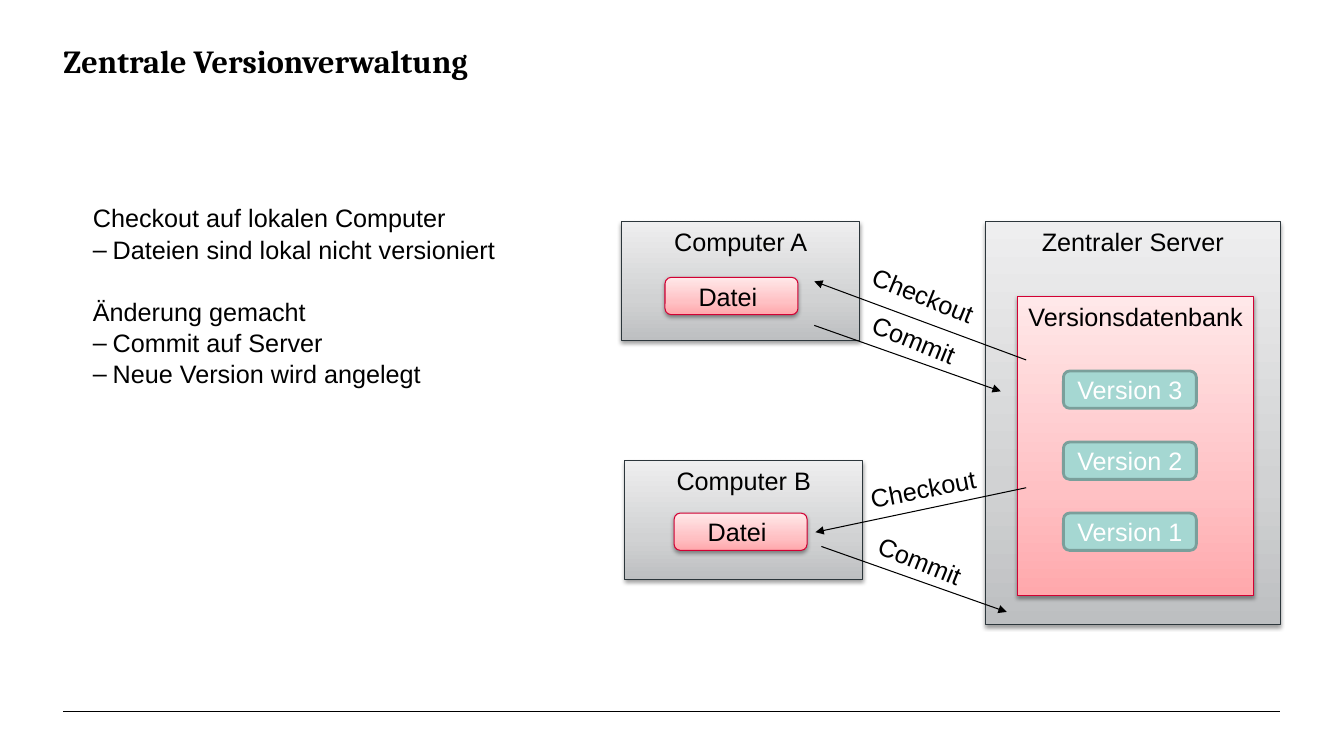
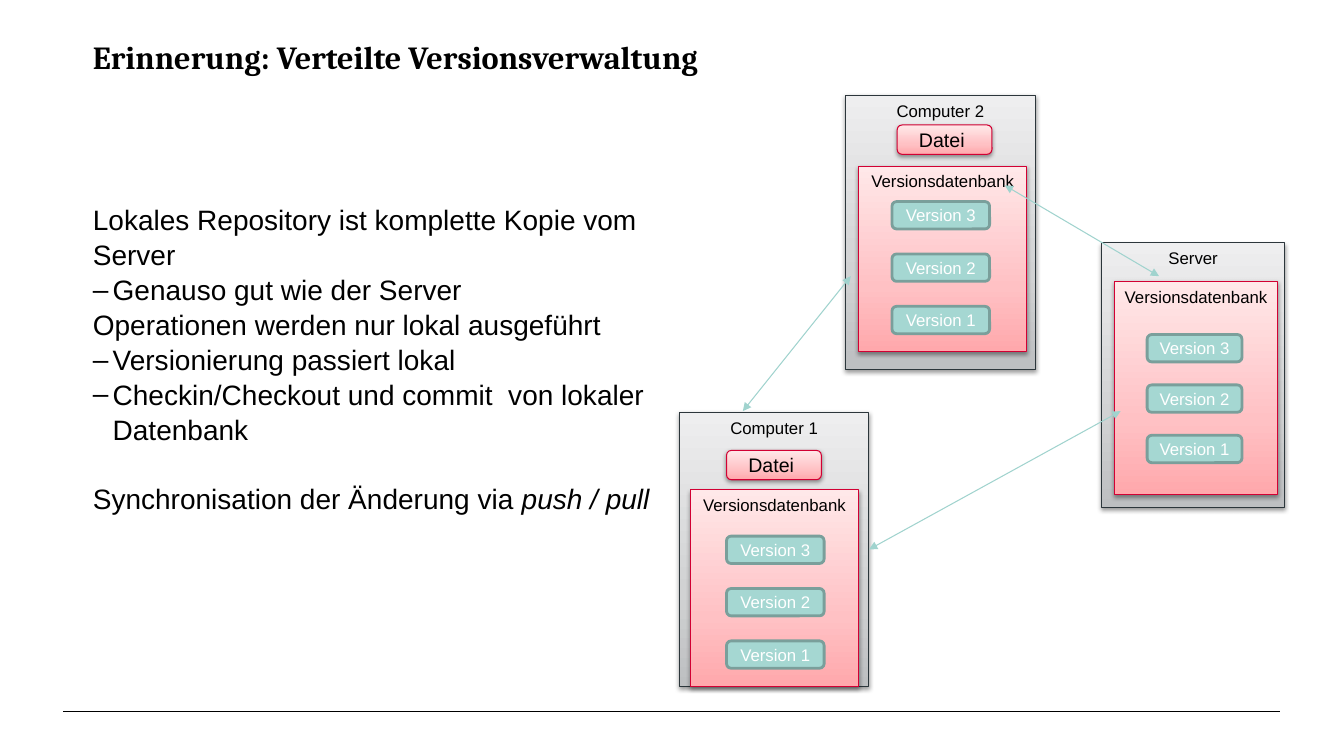
from pptx import Presentation
from pptx.dml.color import RGBColor
from pptx.enum.shapes import MSO_CONNECTOR as CONNECTOR, MSO_SHAPE as SHAPE
from pptx.enum.text import MSO_ANCHOR as ANCHOR, MSO_AUTO_SIZE as AUTO_SIZE, PP_ALIGN as ALIGN
from pptx.oxml import parse_xml
from pptx.oxml.ns import nsdecls, qn
from pptx.util import Cm, Pt

BLACK = RGBColor(0x00, 0x00, 0x00)
WHITE = RGBColor(0xFF, 0xFF, 0xFF)
TEAL = RGBColor(0xA5, 0xD7, 0xD2)
TEAL_EDGE = RGBColor(0x7A, 0x9F, 0x9B)
TEAL_LINE = RGBColor(0xA0, 0xD3, 0xCE)
GREY_EDGE = RGBColor(0x2C, 0x36, 0x3B)
RED_EDGE = RGBColor(0xD2, 0x00, 0x33)
GREY = ("BDBFC1", "D1D2D3", "EEEEEF")
PINK = ("FFA8AC", "FFC1C4", "FFE8E9")
GRADIENT_STOPS = (0, 35, 100)

BODY_FONT, TITLE_FONT = "Arial", "Cambria"
TITLE_BOX = (1.6, 1.12, 30.66, 2.11)
BODY_BOX = (2.34, 5.08, 14.4, 12.09)
FOOTER_LINE = ((1.6, 17.93), (32.26, 17.93))
VERSIONS = ("Version 3", "Version 2", "Version 1")

# Boxes are left, top, width, height in cm; "versions" is the topmost one.
# Body text is a list of blocks, each holding (level, text, emphasised ending).
CENTRAL = {
    "title": "Zentrale Versionverwaltung",
    "title_box": TITLE_BOX,
    "body_size": 18,
    "body": [
        [(0, "Checkout auf lokalen Computer", ""),
         (1, "Dateien sind lokal nicht versioniert", "")],
        [(0, "Änderung gemacht", ""),
         (1, "Commit auf Server", ""),
         (1, "Neue Version wird angelegt", "")],
    ],
    "label_size": 18,
    "file_size": 18,
    "machines": [
        {"name": "Zentraler Server", "box": (24.84, 5.59, 7.42, 10.16),
         "database": (25.65, 7.47, 5.94, 7.54),
         "versions": (26.8, 9.35, 3.35, 0.94), "pitch": 1.79},
        {"name": "Computer A", "box": (15.67, 5.59, 5.99, 3),
         "file": (16.76, 6.99, 3.35, 0.94)},
        {"name": "Computer B", "box": (15.75, 11.61, 5.99, 3),
         "file": (16.99, 12.93, 3.35, 0.94)},
    ],
}
TRANSFERS = [  # text, label corner, rotation, arrow start, arrow end
    ("Checkout", (21.67, 6.96), 22, (25.86, 9.07), (20.52, 7.09)),
    ("Checkout", (21.67, 11.79), 348.9, (25.86, 12.29), (20.55, 13.41)),
    ("Commit", (21.67, 8.18), 22, (20.52, 8.2), (25.22, 9.86)),
    ("Commit", (21.82, 13.74), 22, (20.7, 13.77), (25.37, 15.42)),
]
DISTRIBUTED = {
    "title": "Erinnerung: Verteilte Versionsverwaltung",
    "title_box": (2.34, 1.02, 28.12, 3.68),
    "body_size": 20,
    "body": [
        [(0, "Lokales Repository ist komplette Kopie vom Server", ""),
         (1, "Genauso gut wie der Server", ""),
         (0, "Operationen werden nur lokal ausgeführt", ""),
         (1, "Versionierung passiert lokal", ""),
         (1, "Checkin/Checkout und commit  von lokaler Datenbank", "")],
        [(0, "Synchronisation der Änderung via ", "push / pull")],
    ],
    "label_size": 12,
    "file_size": 14,
    "machines": [
        {"name": "Server", "box": (27.76, 6.12, 4.62, 6.68),
         "database": (28.09, 7.09, 4.11, 5.38),
         "versions": (28.91, 8.43, 2.39, 0.69), "pitch": 1.27},
        {"name": "Computer 1", "box": (17.12, 10.39, 4.78, 6.91),
         "database": (17.4, 12.34, 4.24, 4.95),
         "versions": (18.31, 13.51, 2.46, 0.69), "pitch": 1.32,
         "file": (18.31, 11.35, 2.39, 0.74)},
        {"name": "Computer 2", "box": (21.31, 2.41, 4.78, 6.91),
         "database": (21.64, 4.19, 4.24, 4.67),
         "versions": (22.48, 5.08, 2.46, 0.69), "pitch": 1.32,
         "file": (22.61, 3.15, 2.39, 0.74)},
    ],
}
SYNCS = [  # start, end, machine whose right side the end is joined to
    ((29.21, 6.96), (25.32, 4.67), None),
    ((28.24, 10.36), (21.9, 13.84), "Computer 1"),
    ((18.72, 10.36), (21.44, 6.96), None),
]


def cm(values):
    return [Cm(v) for v in values]


def place(shape, box):
    shape.left, shape.top, shape.width, shape.height = cm(box)


def write(p, text, size=None, color=None, font=None, italic=None, align=None):
    r = p.add_run()
    r.text = text
    r.font.name, r.font.italic = font, italic
    if size:
        r.font.size = Pt(size)
    if color is not None:
        r.font.color.rgb = color
    if align is not None:
        p.alignment = align


def set_level_style(master, style, level, bullet, spacing, font, indent=0, size=18, bold=0):
    """Replace one level of a master text style."""
    parent = master.element.find(".//" + qn(f"p:{style}"))
    old = parent.find(qn(f"a:lvl{level}pPr"))
    parent.replace(old, parse_xml(
        f'<a:lvl{level}pPr {nsdecls("a")} marL="{indent}" indent="{-indent}" algn="l">'
        f'<a:lnSpc>{spacing}</a:lnSpc><a:spcBef><a:spcPts val="0"/></a:spcBef>{bullet}'
        f'<a:defRPr sz="{size * 100}" b="{bold}"><a:solidFill><a:srgbClr val="{BLACK}"/>'
        f'</a:solidFill><a:latin typeface="{font}"/></a:defRPr></a:lvl{level}pPr>'))


def style_master(prs):
    master, layout = prs.slide_master, prs.slide_layouts[1]
    no_bullet, dash = "<a:buNone/>", f'<a:buFont typeface="{BODY_FONT}"/><a:buChar char="–"/>'
    body_spacing = '<a:spcPct val="104000"/>'
    set_level_style(master, "titleStyle", 1, no_bullet, '<a:spcPts val="2500"/>',
                    TITLE_FONT, size=23, bold=1)
    set_level_style(master, "bodyStyle", 1, no_bullet, body_spacing, BODY_FONT)
    set_level_style(master, "bodyStyle", 2, dash, body_spacing, BODY_FONT, indent=Cm(0.5))
    place(layout.placeholders[0], TITLE_BOX)
    place(layout.placeholders[1], BODY_BOX)
    return layout


def add_line(shapes, start, end, color=BLACK, width=0.75, heads=()):
    line = shapes.add_connector(CONNECTOR.STRAIGHT, *cm(start + end))
    line.line.color.rgb, line.line.width = color, Pt(width)
    ln = line.line._get_or_add_ln()
    for head in heads:
        ln.append(parse_xml(f'<a:{head} {nsdecls("a")} type="triangle"/>'))
    line.element.spPr.append(parse_xml(f'<a:effectLst {nsdecls("a")}/>'))
    return line


def add_footer_line(prs, s):
    """Draw the line once and move it to the master, so all slides show it."""
    line = add_line(s.shapes, *FOOTER_LINE, width=0.25)
    line.element.nvCxnSpPr.cNvPr.set("id", "20")
    prs.slide_master.shapes.element.append(line.element)


def add_box(shapes, box, text, size, edge, fill, kind=SHAPE.RECTANGLE,
            anchor=ANCHOR.TOP, color=BLACK, edge_width=0.75):
    """Add a labelled box; a fill of three colours gives a gradient and a shadow."""
    sp = shapes.add_shape(kind, *cm(box))
    sp.shadow.inherit = False
    sp.line.color.rgb, sp.line.width = edge, Pt(edge_width)
    if isinstance(fill, RGBColor):
        sp.fill.solid()
        sp.fill.fore_color.rgb = fill
    else:
        sp.fill.gradient()
        sp.fill.gradient_angle = 90
        stops = sp.element.spPr.find(".//" + qn("a:gsLst"))
        stops.clear()
        for position, rgb in zip(GRADIENT_STOPS, fill):
            stops.append(parse_xml(f'<a:gs {nsdecls("a")} pos="{position * 1000}">'
                                   f'<a:srgbClr val="{rgb}"/></a:gs>'))
        sp.element.spPr.find(qn("a:effectLst")).append(parse_xml(
            f'<a:outerShdw {nsdecls("a")} blurRad="{Pt(3.1)}" dist="{Pt(1.6)}" dir="5400000" '
            f'rotWithShape="0"><a:srgbClr val="{BLACK}"><a:alpha val="38000"/></a:srgbClr>'
            '</a:outerShdw>'))
    tf = sp.text_frame
    tf.margin_left = tf.margin_right = 0
    tf.vertical_anchor = anchor
    write(tf.paragraphs[0], text, size, color, BODY_FONT, align=ALIGN.CENTER)
    return sp


def add_machine(s, machine, label_size, file_size):
    shapes = s.shapes.add_group_shape().shapes
    frame = add_box(shapes, machine["box"], machine["name"], label_size, GREY_EDGE, GREY)
    rounded = {"kind": SHAPE.ROUNDED_RECTANGLE, "anchor": ANCHOR.MIDDLE}
    if "database" in machine:
        add_box(shapes, machine["database"], "Versionsdatenbank", label_size, RED_EDGE, PINK)
        left, top, width, height = machine["versions"]
        for i, version in enumerate(VERSIONS):
            add_box(shapes, (left, top + i * machine["pitch"], width, height), version,
                    label_size, TEAL_EDGE, TEAL, color=WHITE, edge_width=2, **rounded)
    if "file" in machine:
        add_box(shapes, machine["file"], "Datei ", file_size, RED_EDGE, PINK, **rounded)
    return frame


def fill_placeholders(s, content):
    title, body = s.shapes.title, s.placeholders[1]
    if content["title_box"] != TITLE_BOX:
        place(title, content["title_box"])
    for tf in (title.text_frame, body.text_frame):
        tf.margin_left = tf.margin_top = tf.margin_right = tf.margin_bottom = 0
        tf.vertical_anchor = ANCHOR.TOP
        tf.auto_size = AUTO_SIZE.NONE
        tf.word_wrap = True
    write(title.text_frame.paragraphs[0], content["title"])
    size, tf = content["body_size"], body.text_frame
    p = tf.paragraphs[0]
    for b, block in enumerate(content["body"]):
        for i, (level, text, emphasis) in enumerate(block):
            if b or i:
                p = tf.add_paragraph()
            p.level = level
            if b and not i:
                p.space_before = Pt(1.2 * size)
            write(p, text, size)
            if emphasis:
                write(p, emphasis, size, italic=True)


def add_slide(prs, layout, content):
    """Return the new slide and its machine frames by name."""
    s = prs.slides.add_slide(layout)
    fill_placeholders(s, content)
    frames = {m["name"]: add_machine(s, m, content["label_size"], content["file_size"])
              for m in content["machines"]}
    return s, frames


def add_transfer(s, text, corner, rotation, start, end):
    add_line(s.shapes, start, end, heads=("tailEnd",))
    label = s.shapes.add_textbox(*cm(corner + (3.35, 1.02)))
    label.rotation = rotation
    label.text_frame.word_wrap = True
    write(label.text_frame.paragraphs[0], text, 18, BLACK, BODY_FONT)


def main():
    prs = Presentation()
    prs.slide_width, prs.slide_height = Cm(33.87), Cm(19.05)
    layout = style_master(prs)

    s, _ = add_slide(prs, layout, CENTRAL)
    add_footer_line(prs, s)
    for transfer in TRANSFERS:
        add_transfer(s, *transfer)

    s, frames = add_slide(prs, layout, DISTRIBUTED)
    for start, end, joined in SYNCS:
        line = add_line(s.shapes, start, end, TEAL_LINE, heads=("headEnd", "tailEnd"))
        if joined:
            line.end_connect(frames[joined], 3)

    prs.save("out.pptx")


if __name__ == "__main__":
    main()
